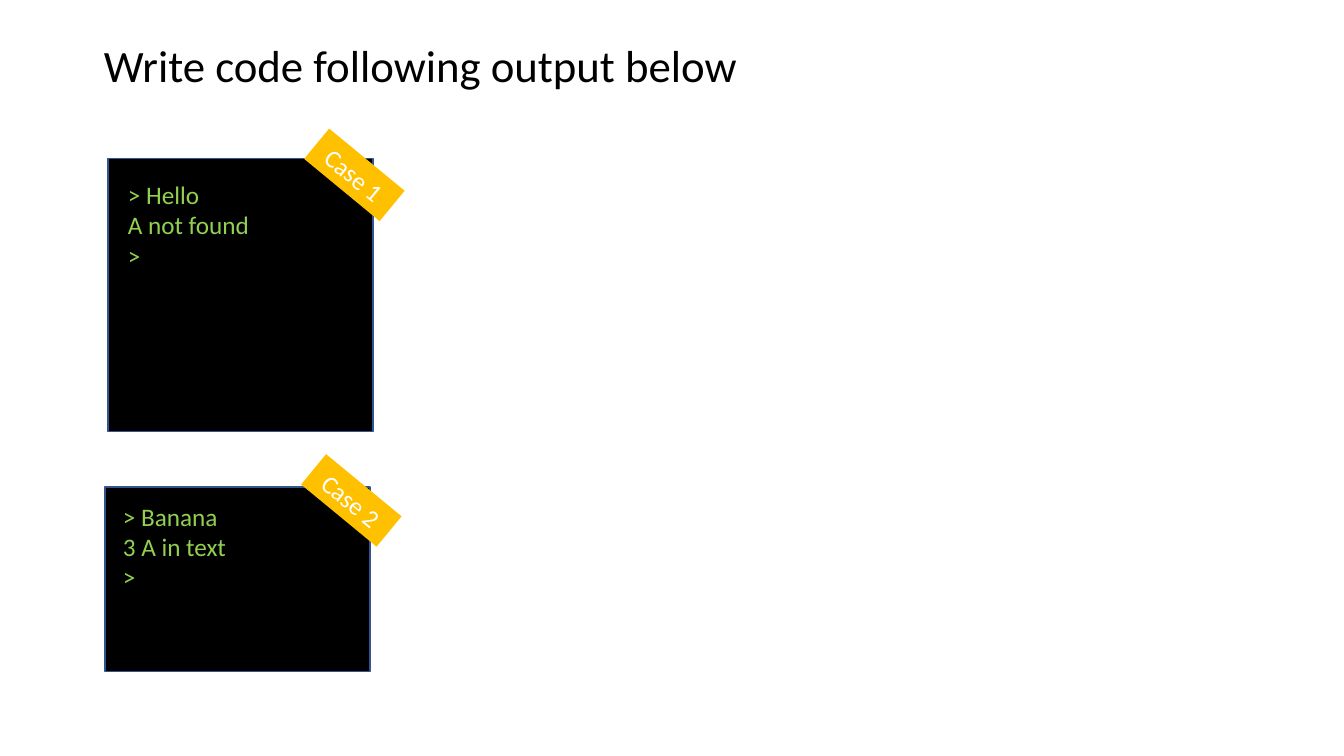
import pptx
import pptx.dml.color
import pptx.enum.shapes
import pptx.enum.text
import pptx.util

Inches = pptx.util.Inches
Pt = pptx.util.Pt
ALIGN = pptx.enum.text.PP_ALIGN
ANCHOR = pptx.enum.text.MSO_ANCHOR

FONT = "Calibri"
BLACK, WHITE = "000000", "FFFFFF"
BORDER, GREEN, AMBER = "325491", "92D050", "FFC000"

# Case label, screen box, output box, label box, output lines
CASES = [
    ("Case 1", (1.07, 1.57, 2.63, 2.71), (1.17, 1.73, 1.42, 1.01),
     (3.03, 1.54, 0.97, 0.39), ["> Hello", "A not found", ">"]),
    ("Case 2", (1.04, 4.83, 2.63, 1.83), (1.12, 4.92, 1.24, 1.01),
     (3.0, 4.77, 0.97, 0.39), ["> Banana", "3 A in text", ">"]),
]


def color(value):
    return pptx.dml.color.RGBColor.from_string(value)


def inches(box):
    return [Inches(length) for length in box]


def write(frame, lines, size, ink, align=ALIGN.LEFT, anchor=ANCHOR.TOP):
    frame.word_wrap = False
    frame.auto_size = pptx.enum.text.MSO_AUTO_SIZE.NONE
    frame.vertical_anchor = anchor
    for index, line in enumerate(lines):
        paragraph = frame.paragraphs[0] if index == 0 else frame.add_paragraph()
        paragraph.alignment = align
        run = paragraph.add_run()
        run.text = line
        run.font.name = FONT
        run.font.size = Pt(size)
        run.font.color.rgb = color(ink)


def add_heading(slide, text, box):
    heading = slide.shapes.title
    heading.left, heading.top, heading.width, heading.height = inches(box)
    write(heading.text_frame, [text], 32, BLACK)


def add_rectangle(slide, box, fill, border=None):
    rectangle = slide.shapes.add_shape(
        pptx.enum.shapes.MSO_SHAPE.RECTANGLE, *inches(box))
    rectangle.shadow.inherit = False
    rectangle.fill.solid()
    rectangle.fill.fore_color.rgb = color(fill)
    if border:
        rectangle.line.color.rgb = color(border)
        rectangle.line.width = Pt(1)
    else:
        rectangle.line.fill.background()
    return rectangle


def add_screen(slide, screen_box, output_box, lines):
    add_rectangle(slide, screen_box, BLACK, BORDER)
    output = slide.shapes.add_textbox(*inches(output_box))
    write(output.text_frame, lines, 18, GREEN)


def add_case_label(slide, text, box):
    label = add_rectangle(slide, box, AMBER)
    label.rotation = 39.5
    write(label.text_frame, [text], 18, WHITE, ALIGN.CENTER, ANCHOR.MIDDLE)


def main():
    deck = pptx.Presentation()
    deck.slide_width, deck.slide_height = Inches(13.33), Inches(7.5)
    slide = deck.slides.add_slide(deck.slide_layouts[5])

    # Task heading
    add_heading(slide, "Write code following output below",
                (0.93, 0.32, 6.55, 0.64))

    # Sample output screens, then their corner labels on top
    for _, screen_box, output_box, _, lines in CASES:
        add_screen(slide, screen_box, output_box, lines)
    for name, _, _, label_box, _ in CASES:
        add_case_label(slide, name, label_box)

    deck.save("out.pptx")


main()
